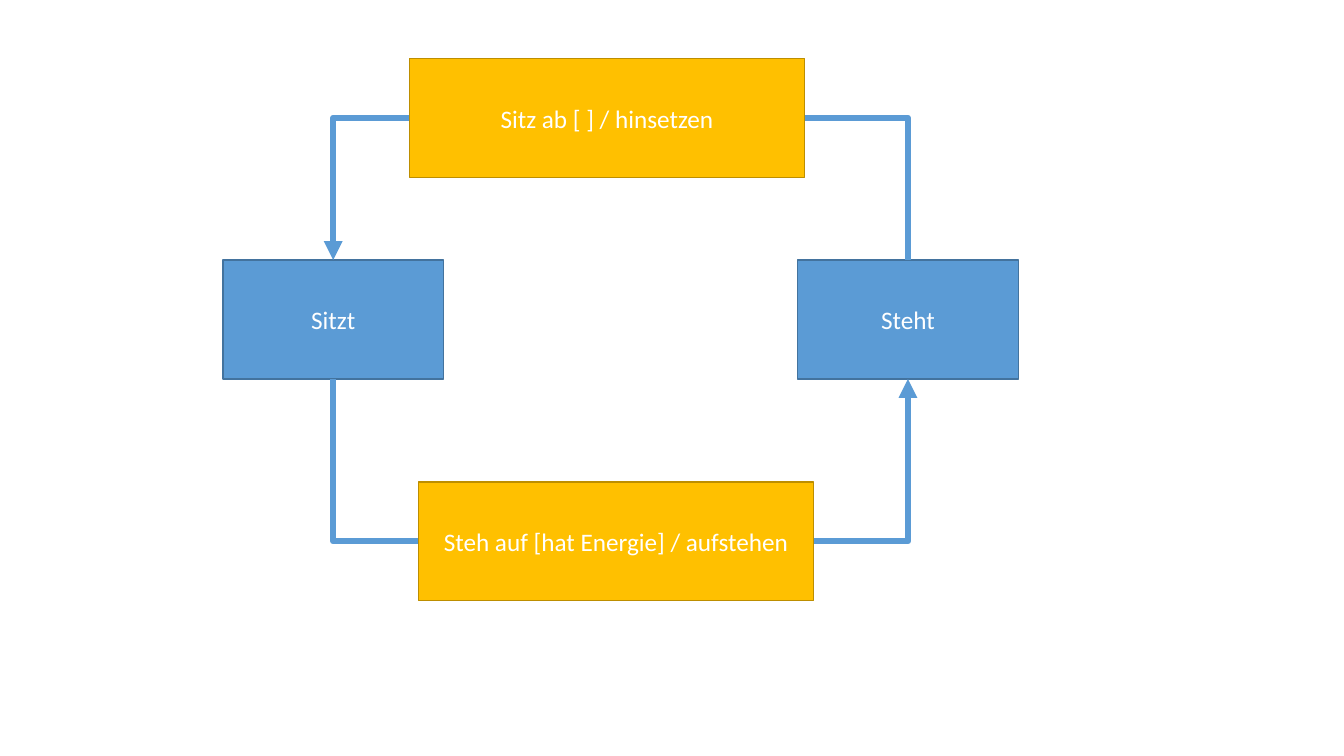
from pptx import Presentation
from pptx.dml.color import RGBColor
from pptx.enum.shapes import MSO_CONNECTOR, MSO_SHAPE
from pptx.enum.text import MSO_ANCHOR, PP_ALIGN
from pptx.oxml.ns import qn
from pptx.util import Inches, Pt
from lxml.etree import SubElement

COLORS = {
    "state": "5B9BD5",
    "state_edge": "43739E",
    "transition": "FFC000",
    "transition_edge": "BD8E00",
    "arrow": "5B9BD5",
    "text": "FFFFFF",
}
BOX_HEIGHT = 1.18
WIDTHS = {"state": 2.19, "transition": 3.92}
# Connection sites of a rectangle
TOP, LEFT, BOTTOM, RIGHT = range(4)


def color(name):
    return RGBColor.from_string(COLORS[name])


def add_box(page, kind, left, top, text):
    """Add a labelled rectangle for a state or a transition."""
    box = page.shapes.add_shape(
        MSO_SHAPE.RECTANGLE, Inches(left), Inches(top),
        Inches(WIDTHS[kind]), Inches(BOX_HEIGHT))
    box.shadow.inherit = False
    box.fill.solid()
    box.fill.fore_color.rgb = color(kind)
    box.line.color.rgb = color(kind + "_edge")
    box.line.width = Pt(1)
    frame = box.text_frame
    frame.text = text
    frame.word_wrap = True
    frame.vertical_anchor = MSO_ANCHOR.MIDDLE
    paragraph = frame.paragraphs[0]
    paragraph.alignment = PP_ALIGN.CENTER
    font = paragraph.runs[0].font
    font.name, font.size = "Calibri", Pt(18)
    font.color.rgb = color("text")
    return box


def add_link(page, transition, side, state, edge, arrow):
    """Join a transition's side to a state's edge with one bend."""
    link = page.shapes.add_connector(MSO_CONNECTOR.ELBOW, 0, 0, 0, 0)
    link.begin_connect(transition, side)
    link.end_connect(state, edge)
    link.line.color.rgb = color("arrow")
    link.line.width = Pt(4.5)
    properties = link._element.spPr
    properties.find(qn("a:prstGeom")).set("prst", "bentConnector2")
    if arrow:
        SubElement(properties.find(qn("a:ln")), qn("a:tailEnd"), type="triangle")
    SubElement(properties, qn("a:effectLst"))


def add_state_diagram(page, left, top):
    """Draw the two states and the cycle of transitions between them."""
    # States
    sitting = add_box(page, "state", left, top + 2, "Sitzt")
    standing = add_box(page, "state", left + 5.7, top + 2, "Steht")
    # Transitions
    sit_down = add_box(page, "transition", left + 1.85, top,
                       "Sitz ab [ ] / hinsetzen")
    stand_up = add_box(page, "transition", left + 1.94, top + 4.2,
                       "Steh auf [hat Energie] / aufstehen")
    # Arrows point at the state that a transition leads to
    for transition, edge, target in ((sit_down, TOP, sitting),
                                     (stand_up, BOTTOM, standing)):
        for side, state in ((LEFT, sitting), (RIGHT, standing)):
            add_link(page, transition, side, state, edge, state is target)


deck = Presentation()
deck.slide_width, deck.slide_height = Inches(13.33), Inches(7.5)
page = deck.slides.add_slide(deck.slide_layouts[6])
add_state_diagram(page, 2.21, 0.58)
deck.save("out.pptx")
